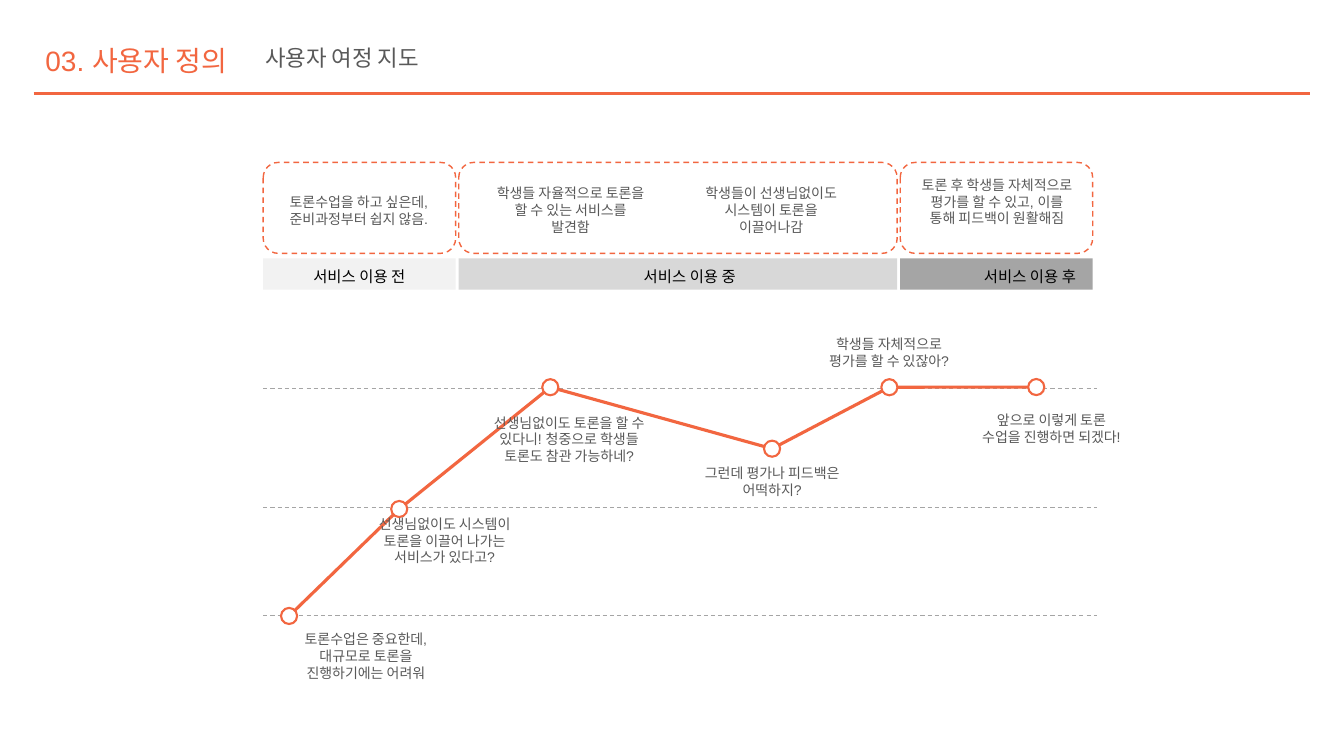
from math import hypot

from lxml import etree
from pptx import Presentation
from pptx.dml.color import RGBColor
from pptx.enum.dml import MSO_LINE
from pptx.enum.shapes import MSO_CONNECTOR, MSO_SHAPE
from pptx.enum.text import MSO_ANCHOR, MSO_AUTO_SIZE, PP_ALIGN
from pptx.oxml.ns import qn
from pptx.util import Pt

RECTANGLE, ROUNDED, OVAL = MSO_SHAPE.RECTANGLE, MSO_SHAPE.ROUNDED_RECTANGLE, MSO_SHAPE.OVAL
STRAIGHT, DASH = MSO_CONNECTOR.STRAIGHT, MSO_LINE.DASH
LEFT, CENTER = PP_ALIGN.LEFT, PP_ALIGN.CENTER
TOP, MIDDLE = MSO_ANCHOR.TOP, MSO_ANCHOR.MIDDLE
GROW = MSO_AUTO_SIZE.SHAPE_TO_FIT_TEXT

ORANGE, GRAY, TEXT, BLACK, WHITE = "F26640", "A5A5A5", "595959", "000000", "FFFFFF"
LATIN_FONT, KOREAN_FONT = "Arial", "Noto Sans CJK KR"

PHASE_LEFT, PHASE_GAP = 188, 2.16
PHASES = [(137.5, "F2F2F2"), (313.2, "D8D8D8"), (137.5, "A5A5A5")]
PHASE_LABELS = ["서비스 이용 전", "서비스 이용 중", "서비스 이용 후"]
PHASE_TABS = [236, 479]

LEVELS = [277.2, 362.2, 439.9]
RADIUS = 5.75
JOURNEY = [(206.5, 440), (285.2, 363.6), (393.1, 276.6),
           (551.5, 320.5), (635.3, 276.6), (740.2, 276.5)]

CAPTIONS = [
    ("토론수업을 하고 싶은데, 준비과정부터 쉽지 않음.", 194.4, 134.6, 123.8, 31.5),
    ("학생들 자율적으로 토론을 할 수 있는 서비스를 발견함", 345.6, 128.2, 123.8, 43.6),
    ("학생들이 선생님없이도 시스템이 토론을 이끌어나감", 488.9, 128.2, 123.8, 43.6),
    ("토론 후 학생들 자체적으로 평가를 할 수 있고, 이를 통해 피드백이 원활해짐",
     650.2, 122.4, 123.8, 55.4),
    ("토론수업은 중요한데, 대규모로 토론을 진행하기에는 어려워", 205.9, 447.1, 110.9, 43.6),
    ("선생님없이도 시스템이 토론을 이끌어 나가는 서비스가 있다고?",
     262.1, 364.5, 110.9, 55.4),
    ("선생님없이도 토론을 할 수 있다니! 청중으로 학생들 토론도 참관 가능하네?",
     337.7, 292.3, 137.5, 43.6),
    ("그런데 평가나 피드백은 어떡하지?", 496.1, 328.3, 110.9, 31.5),
    ("학생들 자체적으로 평가를 할 수 있잖아?", 579.6, 236.2, 110.9, 31.5),
    ("앞으로 이렇게 토론 수업을 진행하면 되겠다!", 690.5, 290.2, 121, 43.6),
]


def color(value):
    """Return the colour of a hex string."""
    return RGBColor.from_string(value)


def apply(target, values):
    """Set every attribute in a dict of format values."""
    for name, value in values.items():
        setattr(target, name, value)


def write(box, text, size, ink, align=LEFT, anchor=TOP, spacing=1.0, font=LATIN_FONT, tabs=()):
    """Write one formatted paragraph into a box."""
    frame = box.text_frame
    apply(frame, {"word_wrap": True, "auto_size": GROW, "vertical_anchor": anchor})
    para = frame.paragraphs[0]
    apply(para, {"alignment": align, "line_spacing": spacing})
    if tabs:
        stops = etree.SubElement(para._p.get_or_add_pPr(), qn("a:tabLst"))
        for position in tabs:
            etree.SubElement(stops, qn("a:tab"), pos=str(Pt(position)), algn="l")
    span = para.add_run()
    span.text = text
    apply(span.font, {"name": font, "size": Pt(size), "bold": False})
    span.font.color.rgb = color(ink)
    etree.SubElement(span.font._element, qn("a:ea"), typeface=KOREAN_FONT)


def add_text(page, text, left, top, width, height, size, ink, **options):
    """Add a text box."""
    box = page.shapes.add_textbox(Pt(left), Pt(top), Pt(width), Pt(height))
    write(box, text, size, ink, **options)


def add_shape(page, kind, left, top, width, height, fill=None, line=None, weight=1, dash=None):
    """Add a preset shape with an optional fill and outline."""
    shape = page.shapes.add_shape(kind, Pt(left), Pt(top), Pt(width), Pt(height))
    shape.shadow.inherit = False
    if fill:
        shape.fill.solid()
        shape.fill.fore_color.rgb = color(fill)
    else:
        shape.fill.background()
    if line:
        shape.line.color.rgb = color(line)
        apply(shape.line, {"width": Pt(weight), "dash_style": dash})
    else:
        shape.line.fill.background()


def add_line(page, start, end, ink, weight, dash=None):
    """Add a straight line between two points."""
    line = page.shapes.add_connector(STRAIGHT, *map(Pt, (*start, *end)))
    line.line.color.rgb = color(ink)
    apply(line.line, {"width": Pt(weight), "dash_style": dash})
    etree.SubElement(line._element.spPr, qn("a:effectLst"))


def add_header(page):
    """Add the title, the subtitle and the rule below them."""
    title = page.shapes.title
    apply(title, {"left": Pt(25.2), "top": Pt(17.3), "width": Pt(153.4), "height": Pt(38.9)})
    write(title, "03. 사용자 정의", 20, ORANGE, anchor=MIDDLE, spacing=1.5)
    add_text(page, "사용자 여정 지도", 182.2, 20.2, 480, 32.4, 16, TEXT,
             anchor=MIDDLE, spacing=1.5)
    add_line(page, (24, 67), (936, 67), ORANGE, 2)


def add_phases(page):
    """Add a dashed card and a shaded bar for each phase, and the phase labels."""
    left = PHASE_LEFT
    for width, fill in PHASES:
        add_shape(page, RECTANGLE, left, 184.5, width, 22.5, fill=fill)
        add_shape(page, ROUNDED, left, 116, width, 65, line=ORANGE, dash=DASH)
        left += width + PHASE_GAP
    add_text(page, "\t".join(PHASE_LABELS), 216.7, 180.7, 566.6, 27.4, 11, BLACK,
             spacing=1.5, font=KOREAN_FONT, tabs=PHASE_TABS)


def add_journey(page):
    """Add the level lines, the journey line and its points."""
    for level in LEVELS:
        add_line(page, (PHASE_LEFT, level), (783.4, level), GRAY, 0.75, DASH)
    for (x1, y1), (x2, y2) in zip(JOURNEY, JOURNEY[1:]):
        ratio = RADIUS / hypot(x2 - x1, y2 - y1)
        dx, dy = (x2 - x1) * ratio, (y2 - y1) * ratio
        add_line(page, (x1 + dx, y1 + dy), (x2 - dx, y2 - dy), ORANGE, 2.25)
    for x, y in JOURNEY:
        add_shape(page, OVAL, x - RADIUS, y - RADIUS, 2 * RADIUS, 2 * RADIUS,
                  fill=WHITE, line=ORANGE, weight=1.5)


def main():
    """Build the user journey map and save it."""
    deck = Presentation()
    apply(deck, {"slide_width": Pt(960), "slide_height": Pt(540)})
    page = deck.slides.add_slide(deck.slide_layouts[5])
    add_header(page)
    add_phases(page)
    add_journey(page)
    for text, left, top, width, height in CAPTIONS:
        add_text(page, text, left, top, width, height, 10, TEXT, align=CENTER)
    deck.save("out.pptx")


if __name__ == "__main__":
    main()
